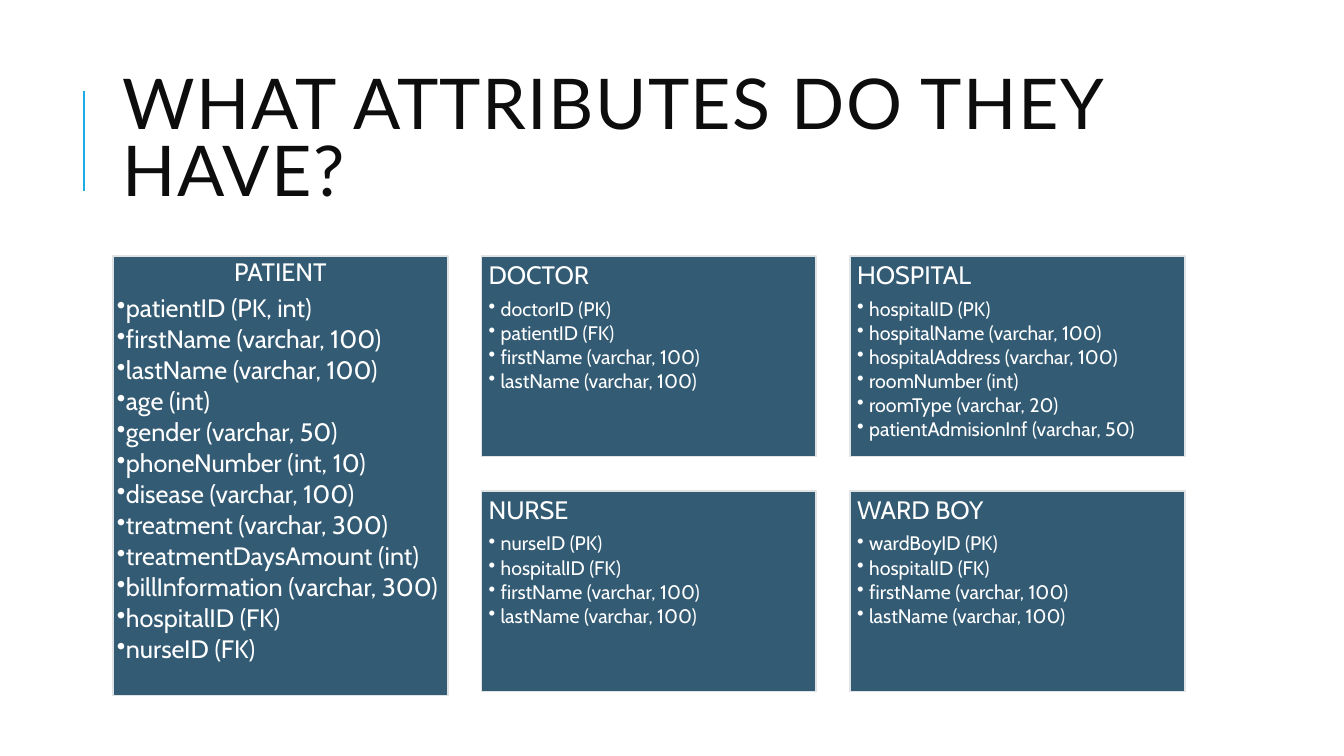
from lxml import etree
from pptx import Presentation
from pptx import util as u
from pptx.dml import color
from pptx.enum import shapes, text
from pptx.oxml import ns


def paint(code):
    return color.RGBColor.from_string(code)


class Board:
    left, top = 1.12, 2.54
    wide, high = 3.32, 1.99
    step, drop = 3.655, 2.33
    fill, edge, ink = "335B74", "DFE3E5", "FFFFFF"
    face = "Cabin"

    def __init__(self, deck):
        self.deck = deck
        self.slide = deck.slides.add_slide(deck.slide_layouts[5])

    def place(self, x, y):
        return int(self.deck.slide_width * x), int(self.deck.slide_height * y)

    def style(self, para, size, face, ink):
        for run in para.runs:
            run.font.size = u.Pt(size)
            run.font.name = face
            run.font.color.rgb = paint(ink)

    def title(self, words, x, y, w, h):
        head = self.slide.shapes.title
        head.left, head.top = self.place(x, y)
        head.width, head.height = self.place(w, h)
        frame = head.text_frame
        frame.text = words
        frame.word_wrap = True
        frame.auto_size = text.MSO_AUTO_SIZE.NONE
        frame.vertical_anchor = text.MSO_ANCHOR.MIDDLE
        para = frame.paragraphs[0]
        para.alignment = text.PP_ALIGN.LEFT
        para.line_spacing = 0.8
        self.style(para, 50, "Lato", "0D0D0D")
        para.runs[0].font._element.set("spc", "100")

    def rule(self, x, y, end):
        line = self.slide.shapes.add_connector(
            shapes.MSO_CONNECTOR.STRAIGHT, *self.place(x, end), *self.place(x, y))
        line.line.color.rgb = paint("1CADE4")
        line.line.width = u.Pt(1.5)
        etree.SubElement(line._element.spPr, ns.qn("a:effectLst"))

    def bullet(self, para, dent):
        para.level = 1
        props = para._p.get_or_add_pPr()
        props.set("marL", str(u.Inches(dent)))
        props.set("indent", str(-u.Inches(dent)))
        etree.SubElement(props, ns.qn("a:buChar")).set("char", "•")

    def card(self, col, row, name, items, high=high, size=14, pad=0.07,
             dent=0.12, align=text.PP_ALIGN.LEFT):
        box = self.slide.shapes.add_shape(
            shapes.MSO_SHAPE.RECTANGLE,
            u.Inches(self.left + col * self.step),
            u.Inches(self.top + row * self.drop),
            u.Inches(self.wide), u.Inches(high))
        box.shadow.inherit = False
        box.fill.solid()
        box.fill.fore_color.rgb = paint(self.fill)
        box.line.color.rgb = paint(self.edge)
        box.line.width = u.Pt(1.25)
        frame = box.text_frame
        frame.text = "\n".join([name, *items])
        frame.word_wrap = True
        frame.vertical_anchor = text.MSO_ANCHOR.TOP
        frame.margin_left = frame.margin_right = u.Inches(pad)
        frame.margin_top = frame.margin_bottom = u.Inches(pad)
        for spot, para in enumerate(frame.paragraphs):
            points, gap = (size, 0.15) if spot else (18, 0.35)
            para.alignment = text.PP_ALIGN.LEFT if spot else align
            para.line_spacing = 0.9
            para.space_before = u.Pt(0)
            para.space_after = u.Pt(points * gap)
            self.style(para, points, self.face, self.ink)
            if spot:
                self.bullet(para, dent)


def main():
    deck = Presentation()
    deck.slide_width, deck.slide_height = u.Inches(13.33), u.Inches(7.5)
    board = Board(deck)
    board.rule(0.0625, 0.12, 0.2533)
    board.title("WHAT ATTRIBUTES DO THEY HAVE?", 0.084, 0.08, 0.7975, 0.2187)

    names = ["firstName (varchar, 100)", "lastName (varchar, 100)"]
    board.card(0, 0, "PATIENT", [
        "patientID (PK, int)", *names, "age (int)", "gender (varchar, 50)",
        "phoneNumber (int, 10)", "disease (varchar, 100)",
        "treatment (varchar, 300)", "treatmentDaysAmount (int)",
        "billInformation (varchar, 300)", "hospitalID (FK)", "nurseID (FK)",
    ], high=4.36, size=18, pad=0.04, dent=0.06, align=text.PP_ALIGN.CENTER)
    board.card(1, 0, "DOCTOR", ["doctorID (PK)", "patientID (FK)", *names])
    board.card(2, 0, "HOSPITAL", [
        "hospitalID (PK)", "hospitalName (varchar, 100)",
        "hospitalAddress (varchar, 100)", "roomNumber (int)",
        "roomType (varchar, 20)", "patientAdmisionInf (varchar, 50)"])
    board.card(1, 1, "NURSE", ["nurseID (PK)", "hospitalID (FK)", *names])
    board.card(2, 1, "WARD BOY", ["wardBoyID (PK)", "hospitalID (FK)", *names])
    deck.save("out.pptx")


if __name__ == "__main__":
    main()
